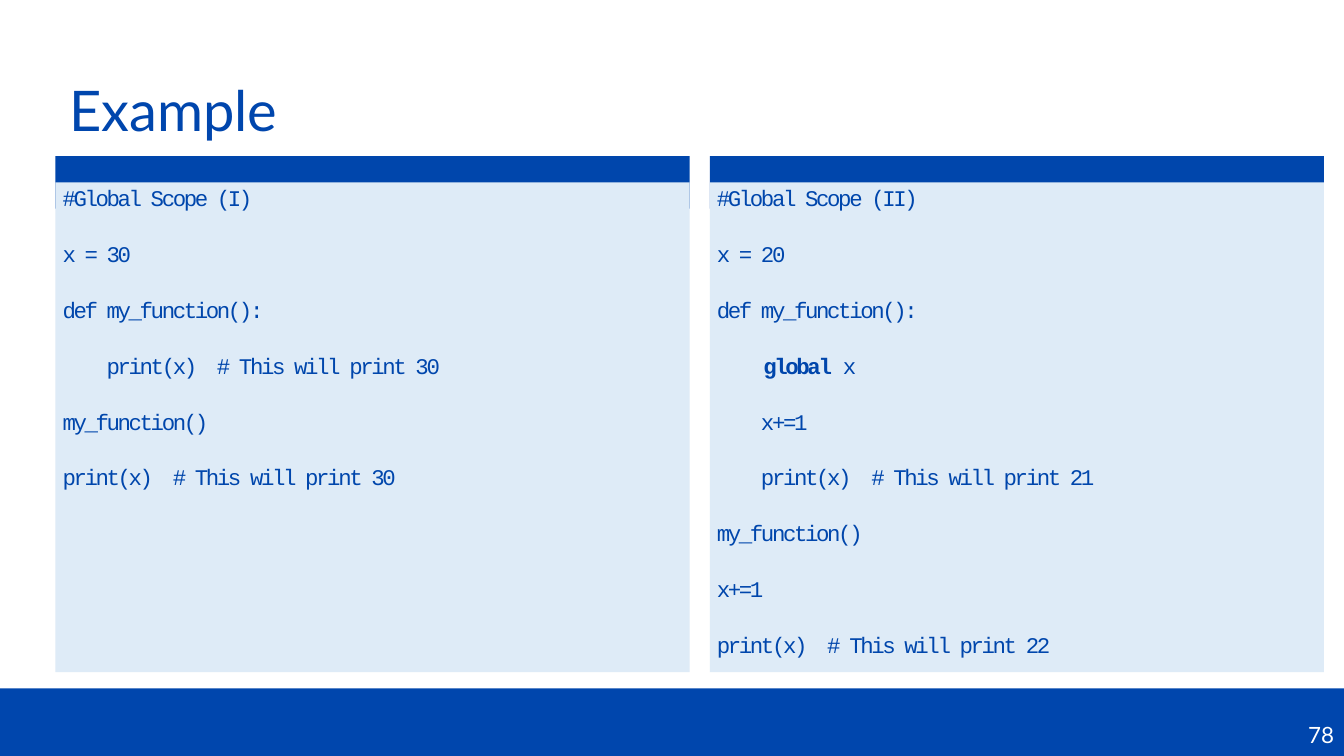
from dataclasses import dataclass

from pptx import Presentation
from pptx.dml.color import RGBColor
from pptx.enum.shapes import MSO_SHAPE
from pptx.enum.text import MSO_ANCHOR, PP_ALIGN
from pptx.util import Inches, Pt

RECT = MSO_SHAPE.RECTANGLE
TOP, MIDDLE, BOTTOM = MSO_ANCHOR.TOP, MSO_ANCHOR.MIDDLE, MSO_ANCHOR.BOTTOM
LEFT, RIGHT = PP_ALIGN.LEFT, PP_ALIGN.RIGHT
BLUE = RGBColor(0x00, 0x46, 0xAD)
CODE_BLUE = RGBColor(0x00, 0x46, 0xAC)
PALE = RGBColor(0xDE, 0xEB, 0xF7)
WHITE = RGBColor(0xFF, 0xFF, 0xFF)
CODE_SPACING = "-170"
KEYWORD = "global"


@dataclass
class CodePanel:
    left: float
    width: float
    lines: list[str]


PANELS = [
    CodePanel(0.55, 6.29, [
        "#Global Scope (I)",
        "x = 30",
        "def my_function():",
        "    print(x)  # This will print 30",
        "my_function()",
        "print(x)  # This will print 30",
    ]),
    CodePanel(7.04, 6.09, [
        "#Global Scope (II)",
        "x = 20",
        "def my_function():",
        "    global x",
        "    x+=1",
        "    print(x)  # This will print 21",
        "my_function()",
        "x+=1",
        "print(x)  # This will print 22",
    ]),
]


def set_format(target, values: dict) -> None:
    for name, value in values.items():
        setattr(target, name, value)


def add_run(p, text: str, font: str, size: float, color: RGBColor, bold: bool = False):
    r = p.add_run()
    r.text = text
    set_format(r.font, {"name": font, "size": Pt(size), "bold": bold})
    r.font.color.rgb = color
    return r


def add_rect(s, left: float, top: float, width: float, height: float, color: RGBColor):
    sp = s.shapes.add_shape(RECT, Inches(left), Inches(top), Inches(width), Inches(height))
    sp.shadow.inherit = False
    sp.fill.solid()
    sp.fill.fore_color.rgb = color
    sp.line.fill.background()
    return sp


def add_title(s, text: str) -> None:
    sp = s.shapes.add_textbox(Inches(0.59), Inches(0.4), Inches(11.83), Inches(1.45))
    tf = sp.text_frame
    set_format(tf, {"word_wrap": True, "vertical_anchor": MIDDLE})
    p = tf.paragraphs[0]
    p.line_spacing = 0.9
    add_run(p, text, "Lato", 40, BLUE)


def add_footer(s, number: str) -> None:
    tf = add_rect(s, 0, 6.83, 13.33, 0.71, BLUE).text_frame
    set_format(tf, {"vertical_anchor": BOTTOM, "margin_bottom": Inches(0.12)})
    p = tf.paragraphs[0]
    p.alignment = RIGHT
    add_run(p, number, "Lato", 16, WHITE)


def add_panel(s, panel: CodePanel) -> None:
    add_rect(s, panel.left, 1.55, panel.width, 0.52, CODE_BLUE)
    tf = add_rect(s, panel.left, 1.81, panel.width, 4.86, PALE).text_frame
    set_format(tf, {
        "word_wrap": True, "vertical_anchor": TOP, "margin_left": Inches(0.07),
        "margin_top": Inches(0.02), "margin_right": 0, "margin_bottom": 0,
    })
    for i, line in enumerate(panel.lines):
        p = tf.add_paragraph() if i else tf.paragraphs[0]
        set_format(p, {"alignment": LEFT, "space_before": Pt(20.7 if i else 0)})
        before, keyword, after = line.partition(f"{KEYWORD} ")
        for text, bold in ((before, False), (keyword.strip(), True),
                           (" " + after if keyword else "", False)):
            if text:
                r = add_run(p, text, "Courier New", 16, CODE_BLUE, bold)
                r.font._element.set("spc", CODE_SPACING)


def main() -> None:
    prs = Presentation()
    set_format(prs, {"slide_width": Inches(13.33), "slide_height": Inches(7.5)})
    s = prs.slides.add_slide(prs.slide_layouts[6])
    add_footer(s, "78")
    add_title(s, "Example")
    for panel in PANELS:
        add_panel(s, panel)
    prs.save("out.pptx")


if __name__ == "__main__":
    main()
